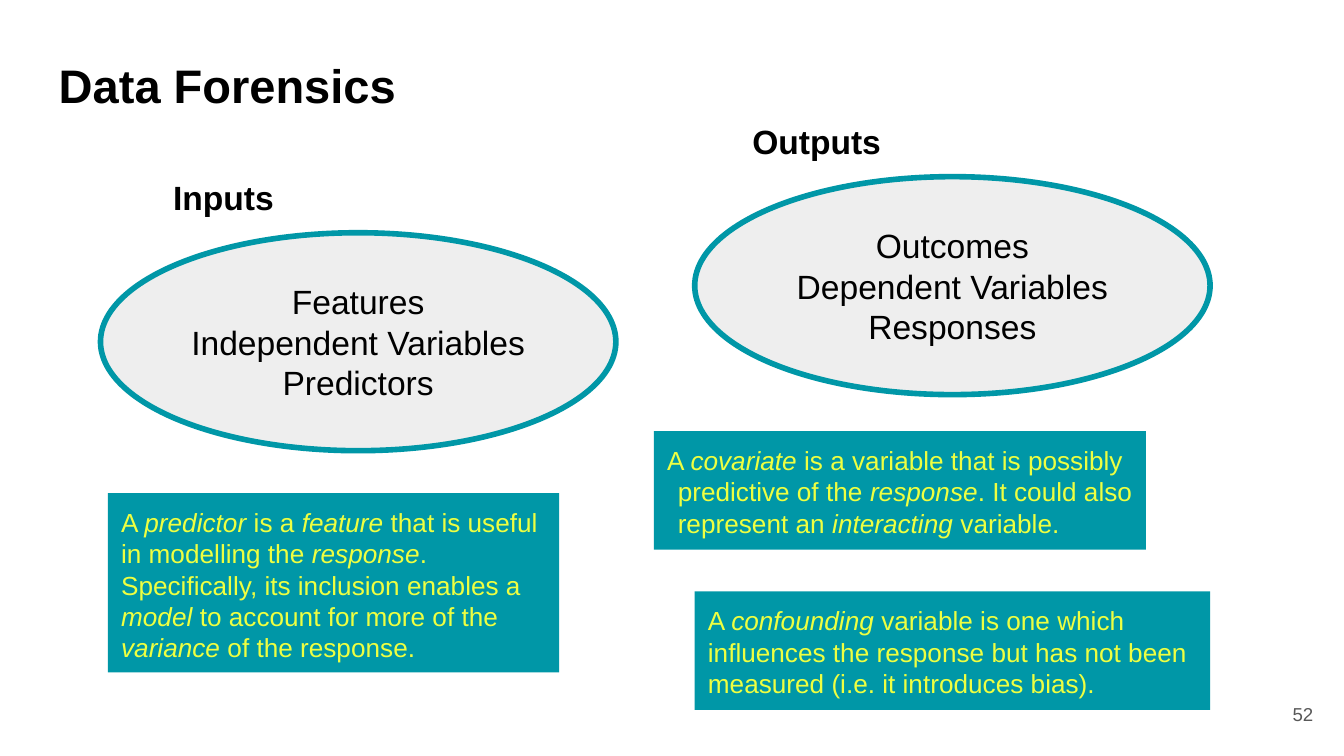
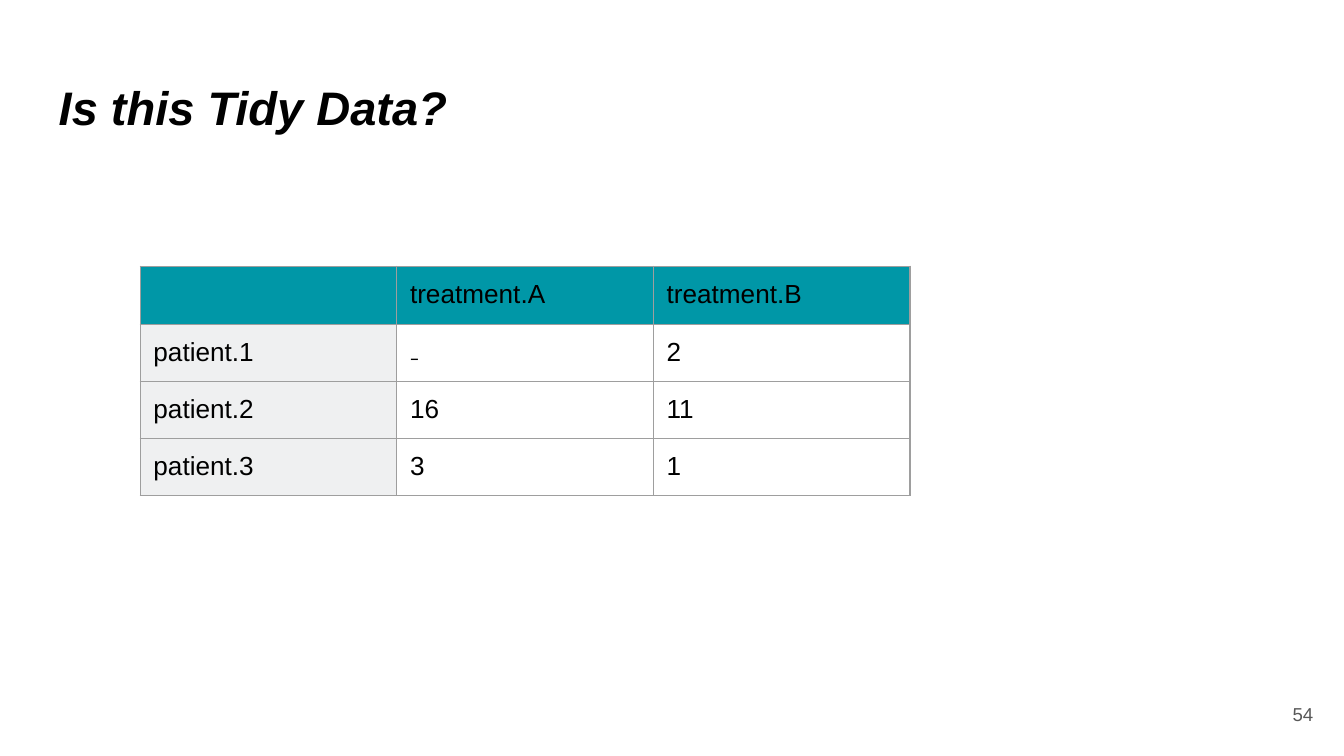
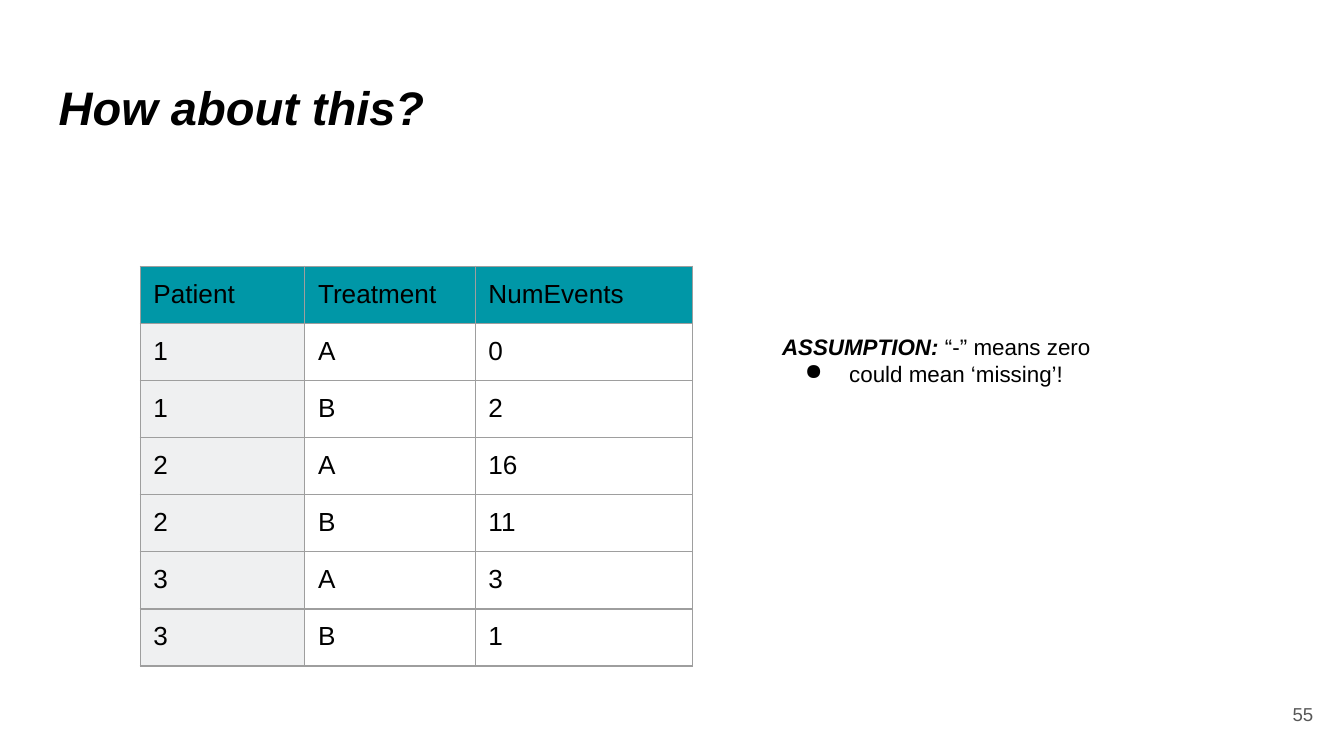
"""Build three slides on variable roles and tidy data."""
from dataclasses import dataclass

from lxml.etree import SubElement
from pptx import Presentation
from pptx.dml.color import RGBColor as Rgb
from pptx.enum.shapes import MSO_SHAPE as Shape
from pptx.enum.text import MSO_ANCHOR as Anchor, MSO_AUTO_SIZE as AutoSize, PP_ALIGN as Align
from pptx.oxml.ns import qn
from pptx.util import Cm, Pt


@dataclass(frozen=True)
class Theme:
    font: str = "Arial"
    black: str = "000000"
    grey: str = "585858"
    teal: str = "0097A7"
    lime: str = "EEFF41"
    oval: str = "EEEEEE"
    row_head: str = "EFF0F1"
    border: str = "9E9E9E"
    title: float = 25.2
    large: float = 18
    body: float = 14
    note: float = 12
    number: float = 10
    inset: float = 0.25


theme = Theme()


def write(frame, lines, size, color=theme.black, bold=False, align=Align.LEFT, anchor=Anchor.TOP):
    """Fill a text frame; text between asterisks is italic."""
    frame.word_wrap = True
    frame.auto_size = AutoSize.NONE
    frame.vertical_anchor = anchor
    frame.margin_left = frame.margin_right = Cm(theme.inset)
    frame.margin_top = frame.margin_bottom = Cm(theme.inset)
    for index, line in enumerate(lines):
        para = frame.add_paragraph() if index else frame.paragraphs[0]
        para.alignment = align
        for order, piece in enumerate(line.split("*")):
            if piece:
                span = para.add_run()
                span.text = piece
                span.font.name, span.font.size = theme.font, Pt(size)
                span.font.bold, span.font.italic = bold, order % 2 == 1
                span.font.color.rgb = Rgb.from_string(color)


def add_panel(page, kind, place, fill):
    """Add a flat filled shape without an outline and return it."""
    panel = page.shapes.add_shape(kind, *map(Cm, place))
    panel.shadow.inherit = False
    panel.fill.solid()
    panel.fill.fore_color.rgb = Rgb.from_string(fill)
    panel.line.fill.background()
    return panel


deck = Presentation()
deck.slide_width, deck.slide_height = Cm(25.4), Cm(14.29)

pages = []
for title, title_top, number in [
    ("Data Forensics", 0.81, "52"),
    ("*Is this Tidy Data?*", 1.24, "54"),
    ("*How about this?*", 1.24, "55"),
]:
    page = deck.slides.add_slide(deck.slide_layouts[5])
    heading = page.shapes.title
    heading.left, heading.top = Cm(0.86), Cm(title_top)
    heading.width, heading.height = Cm(23.67), Cm(1.6)
    write(heading.text_frame, [title], theme.title, bold=True)
    number_box = page.shapes.add_textbox(Cm(24.13), Cm(13.06), Cm(0.94), Cm(0.89))
    write(number_box.text_frame, [number], theme.number, theme.grey,
          align=Align.RIGHT, anchor=Anchor.MIDDLE)
    number_box.text_frame.word_wrap = False
    pages.append(page)
roles_page, wide_page, long_page = pages

for label, label_left, oval_left, oval_top, names in [
    ("Inputs", 2.13, 1.9, 4.4, ["Features", "Independent Variables", "Predictors"]),
    ("Outputs", 13.34, 13.13, 3.34, ["Outcomes", "Dependent Variables", "Responses"]),
]:
    label_box = roles_page.shapes.add_textbox(
        Cm(label_left), Cm(oval_top - 1.34), Cm(4.19), Cm(1.35))
    write(label_box.text_frame, [label], theme.large, bold=True, align=Align.CENTER)
    label_box.text_frame.paragraphs[0].line_spacing = 1.05
    oval = add_panel(roles_page, Shape.OVAL, (oval_left, oval_top, 9.74, 4.12), theme.oval)
    oval.line.color.rgb = Rgb.from_string(theme.teal)
    oval.line.width = Pt(3)
    write(oval.text_frame, names, theme.large, align=Align.CENTER, anchor=Anchor.MIDDLE)

definitions = []
for place, text in [
    ((2.04, 9.32, 8.53, 3.39),
     "A *predictor *is a *feature *that is useful in modelling the *response*. Specifically, "
     "its inclusion enables a *model *to account for more of the *variance *of the response."),
    ((12.36, 8.15, 9.3, 2.24),
     "A *covariate* is a variable that is possibly predictive of the *response*. "
     "It could also represent an *interacting *variable."),
    ((13.13, 11.18, 9.74, 2.24),
     "A *confounding* variable is one which influences the response but has not been "
     "measured (i.e. it introduces bias)."),
]:
    definition = add_panel(roles_page, Shape.RECTANGLE, place, theme.teal)
    write(definition.text_frame, [text], theme.body, theme.lime)
    definitions.append(definition)
covariate_props = definitions[1].text_frame.paragraphs[0]._p.get_or_add_pPr()
covariate_props.set("marL", str(Cm(0.2)))
covariate_props.set("indent", str(Cm(-0.38)))

for page, widths, rows in [
    (wide_page, [4.85, 4.85, 4.85], [
        ("", "treatment.A", "treatment.B"),
        ("patient.1", "₋", "2"),
        ("patient.2", "16", "11"),
        ("patient.3", "3", "1"),
    ]),
    (long_page, [3.11, 3.22, 4.11], [
        ("Patient", "Treatment", "NumEvents"),
        ("1", "A", "0"),
        ("1", "B", "2"),
        ("2", "A", "16"),
        ("2", "B", "11"),
        ("3", "A", "3"),
        ("3", "B", "1"),
    ]),
]:
    row_height = 1.08
    table = page.shapes.add_table(
        len(rows), len(widths), Cm(2.65), Cm(5.03),
        Cm(sum(widths)), Cm(row_height * len(rows))).table
    table.first_row = table.horz_banding = False
    for column, width in zip(table.columns, widths):
        column.width = Cm(width)
    for row_index, values in enumerate(rows):
        table.rows[row_index].height = Cm(row_height)
        for column_index, value in enumerate(values):
            cell = table.cell(row_index, column_index)
            cell.margin_left = cell.margin_right = Cm(theme.inset)
            cell.margin_top = cell.margin_bottom = Cm(theme.inset)
            cell.text = value
            para = cell.text_frame.paragraphs[0]
            if not value:
                SubElement(para._p, qn("a:endParaRPr"), sz=str(theme.body * 100))
            for span in para.runs:
                span.font.name, span.font.size = theme.font, Pt(theme.body)
                span.font.color.rgb = Rgb.from_string(theme.black)
            for side in ("a:lnL", "a:lnR", "a:lnT", "a:lnB"):
                edge = SubElement(cell._tc.get_or_add_tcPr(), qn(side), w=str(Pt(0.75)))
                SubElement(SubElement(edge, qn("a:solidFill")), qn("a:srgbClr"), val=theme.border)
            if row_index and column_index:
                cell.fill.background()
            else:
                cell.fill.solid()
                cell.fill.fore_color.rgb = Rgb.from_string(
                    theme.row_head if row_index else theme.teal)

assumption = long_page.shapes.add_textbox(Cm(14.53), Cm(6.05), Cm(7.9), Cm(1.47))
write(assumption.text_frame, ["*ASSUMPTION:* “-” means zero", "could mean ‘missing’!"], theme.note)
lead, bullet = assumption.text_frame.paragraphs
lead.runs[0].font.bold = True
bullet_props = bullet._p.get_or_add_pPr()
bullet_props.set("marL", str(Cm(1.27)))
bullet_props.set("indent", str(Cm(-0.84)))
SubElement(bullet_props, qn("a:buChar"), char="●")

deck.save("out.pptx")
